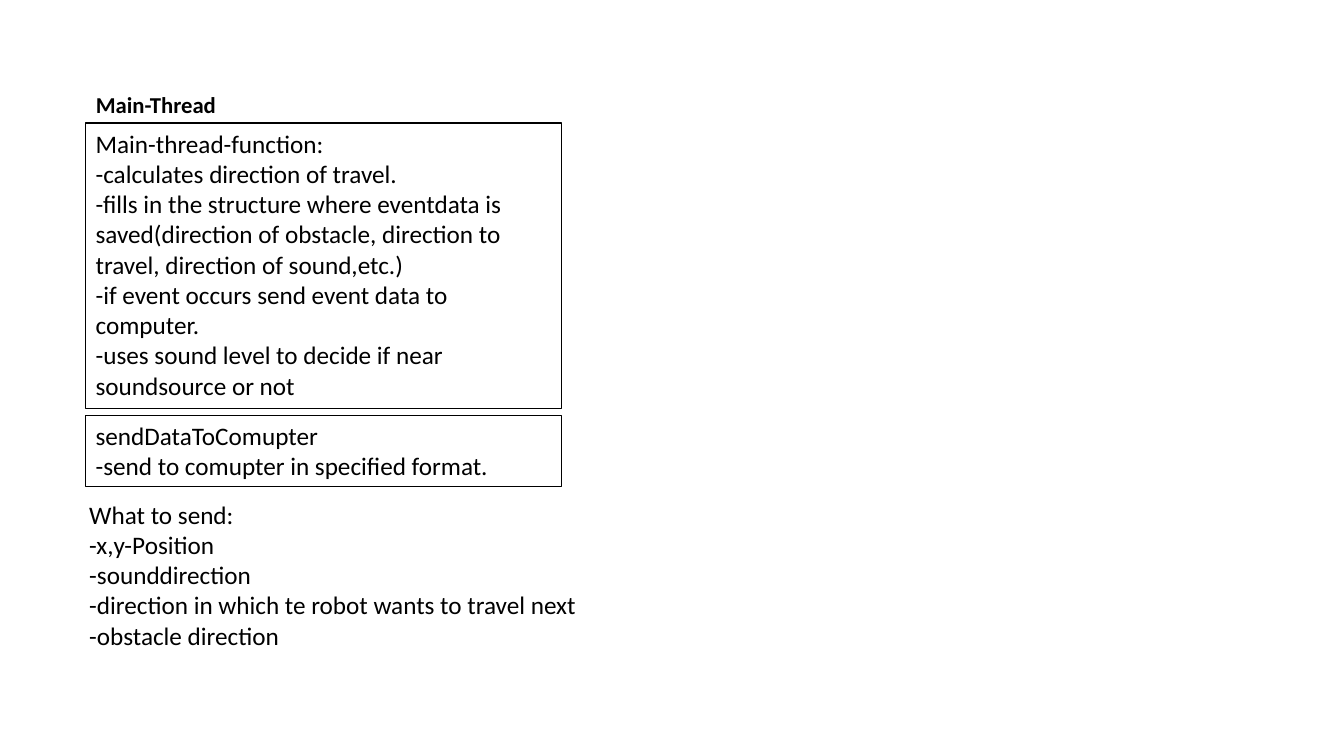
from pptx import Presentation
from pptx.dml.color import RGBColor
from pptx.enum.shapes import MSO_SHAPE
from pptx.enum.text import MSO_ANCHOR, MSO_AUTO_SIZE, PP_ALIGN
from pptx.util import Cm, Pt

BLACK = RGBColor(0x00, 0x00, 0x00)
TITLE_ONLY = 5

FUNCTION_LINES = [
    "Main-thread-function:",
    "-calculates direction of travel.",
    "-fills in the structure where eventdata is saved(direction of obstacle, "
    "direction to travel, direction of sound,etc.)",
    "-if event occurs send event data to computer.",
    "-uses sound level to decide if near soundsource or not",
]
SENDER_LINES = [
    "sendDataToComupter",
    "-send to comupter in specified format.",
]
MESSAGE_LINES = [
    "What to send:",
    "-x,y-Position",
    "-sounddirection",
    "-direction in which te robot wants to travel next",
    "-obstacle direction",
]


class ThreadSlide:
    font_name = "Calibri"
    title_size = Pt(16.2)
    body_size = Pt(18)

    def __init__(self, presentation):
        self.slide = presentation.slides.add_slide(presentation.slide_layouts[TITLE_ONLY])

    def fill_text(self, shape, lines, size, anchor=MSO_ANCHOR.TOP, bold=False):
        text_frame = shape.text_frame
        text_frame.text = "\n".join(lines)
        text_frame.word_wrap = True
        text_frame.auto_size = MSO_AUTO_SIZE.NONE
        text_frame.vertical_anchor = anchor
        for paragraph in text_frame.paragraphs:
            paragraph.alignment = PP_ALIGN.LEFT
            for run in paragraph.runs:
                run.font.name = self.font_name
                run.font.size = size
                run.font.bold = bold
                run.font.color.rgb = BLACK

    def title(self, text, left, top, width, height):
        title = self.slide.shapes.title
        title.left, title.top, title.width, title.height = left, top, width, height
        self.fill_text(title, [text], self.title_size, MSO_ANCHOR.MIDDLE, bold=True)
        title.text_frame.paragraphs[0].line_spacing = 0.9

    def outlined_box(self, lines, left, top, width, height):
        box = self.slide.shapes.add_shape(MSO_SHAPE.RECTANGLE, left, top, width, height)
        box.shadow.inherit = False
        box.fill.background()
        box.line.color.rgb = BLACK
        box.line.width = Pt(0.75)
        self.fill_text(box, lines, self.body_size)

    def text(self, lines, left, top, width, height):
        text_box = self.slide.shapes.add_textbox(left, top, width, height)
        self.fill_text(text_box, lines, self.body_size)


def main():
    presentation = Presentation()
    presentation.slide_width = Cm(33.87)
    presentation.slide_height = Cm(19.05)

    left, box_width = Cm(2.16), Cm(12)
    slide = ThreadSlide(presentation)
    slide.title("Main-Thread", left, Cm(2.24), Cm(29.21), Cm(0.86))
    slide.outlined_box(FUNCTION_LINES, left, Cm(3.1), box_width, Cm(7.2))
    slide.outlined_box(SENDER_LINES, left, Cm(10.46), box_width, Cm(1.8))
    slide.text(MESSAGE_LINES, Cm(2), Cm(12.45), Cm(13), Cm(4.88))

    presentation.save("out.pptx")


if __name__ == "__main__":
    main()
